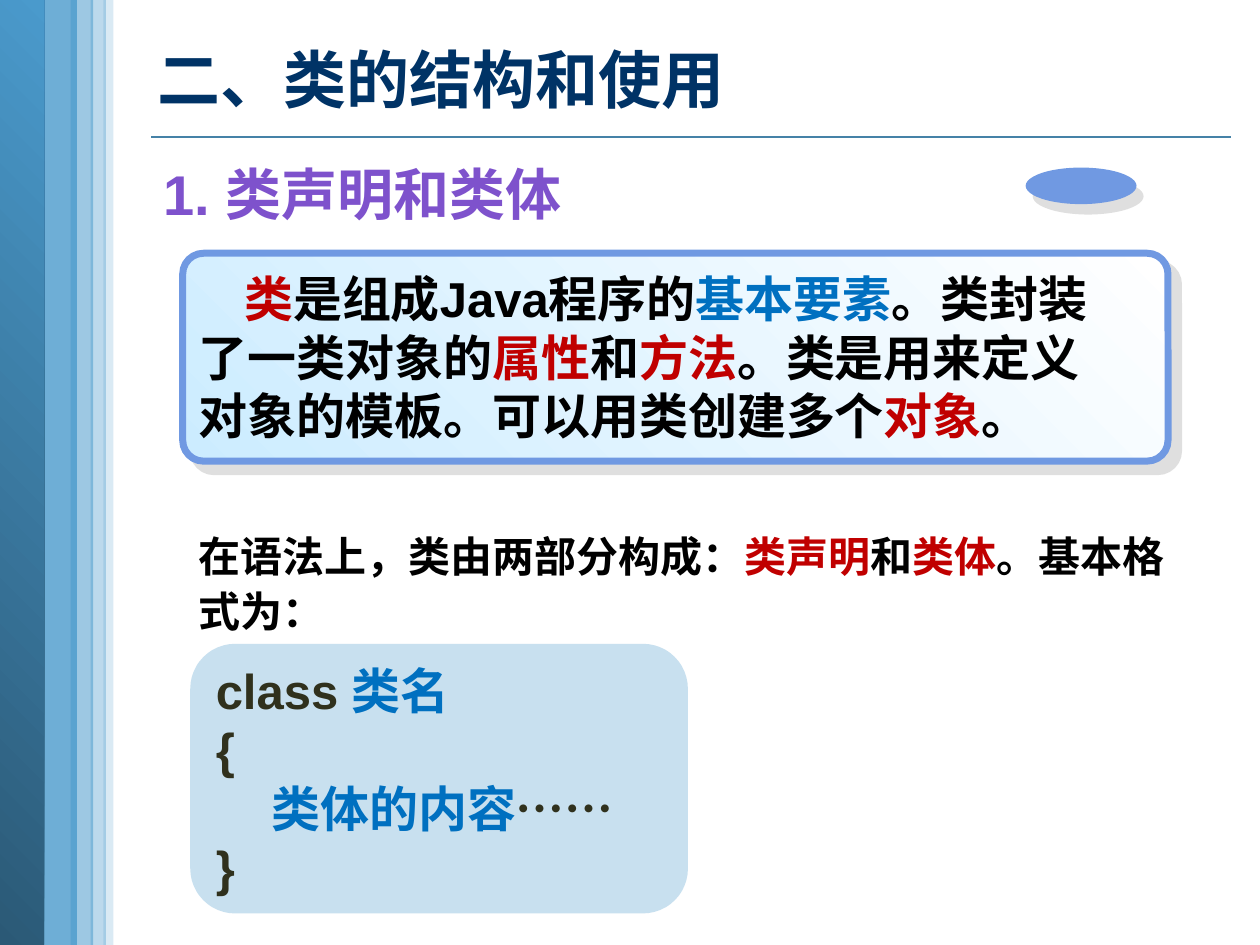
from lxml import etree
from pptx import Presentation
from pptx.dml.color import RGBColor
from pptx.enum.shapes import MSO_CONNECTOR, MSO_SHAPE
from pptx.enum.text import MSO_ANCHOR, PP_ALIGN
from pptx.oxml.ns import qn
from pptx.util import Inches, Pt

RECTANGLE = MSO_SHAPE.RECTANGLE
ROUNDED = MSO_SHAPE.ROUNDED_RECTANGLE
OVAL = MSO_SHAPE.OVAL
STRAIGHT = MSO_CONNECTOR.STRAIGHT
TOP = MSO_ANCHOR.TOP
MIDDLE = MSO_ANCHOR.MIDDLE
LEFT = PP_ALIGN.LEFT

FONT = "Arial"
BLUE = "4A9ACC"
PERIWINKLE = "7099E2"
BLACK = "000000"
RED = "C00000"
KEYWORD = "0070C0"
CODE = "30311D"


def color(value):
    return RGBColor.from_string(value)


def add_alpha(color_element, percent):
    alpha = etree.SubElement(color_element, qn("a:alpha"))
    alpha.set("val", str(percent * 1000))


def add_shape(slide, kind, box, fill=None, opacity=100, gradient=None):
    """Add a borderless shape with a solid fill or a two-colour gradient."""
    shape = slide.shapes.add_shape(kind, *map(Inches, box))
    shape.shadow.inherit = False
    shape.line.fill.background()
    if gradient:
        shape.fill.gradient()
        shape.fill.gradient_angle = 45
        for stop, value in zip(shape.fill.gradient_stops, gradient):
            stop.color.rgb = color(value)
    else:
        shape.fill.solid()
        shape.fill.fore_color.rgb = color(fill)
        if opacity < 100:
            solid = shape._element.spPr.find(qn("a:solidFill"))
            add_alpha(solid[0], opacity)
    return shape


def add_shadow(shape, distance, angle):
    effects = shape._element.spPr.find(qn("a:effectLst"))
    shadow = etree.SubElement(effects, qn("a:outerShdw"))
    shadow.set("dist", str(int(Pt(distance))))
    shadow.set("dir", str(angle * 60000))
    shadow.set("algn", "ctr")
    shadow.set("rotWithShape", "0")
    shadow_color = etree.SubElement(shadow, qn("a:srgbClr"))
    shadow_color.set("val", "C0C0C0")
    add_alpha(shadow_color, 50)


def write_text(shape, paragraphs, size, anchor=TOP, spacing=None, indent=0):
    """Each paragraph is a list of (text, colour) runs."""
    frame = shape.text_frame
    frame.word_wrap = True
    frame.vertical_anchor = anchor
    for index, runs in enumerate(paragraphs):
        paragraph = frame.paragraphs[0] if index == 0 else frame.add_paragraph()
        paragraph.alignment = LEFT
        if spacing:
            paragraph.line_spacing = spacing
        if indent:
            paragraph._p.get_or_add_pPr().set("indent", str(Inches(indent)))
        paragraph.font.name = FONT
        paragraph.font.size = Pt(size)
        paragraph.font.bold = True
        for text, value in runs:
            run = paragraph.add_run()
            run.text = text
            run.font.color.rgb = color(value)


def add_text(slide, box, runs, size, **options):
    textbox = slide.shapes.add_textbox(*map(Inches, box))
    write_text(textbox, [runs], size, **options)


def add_rule(slide, left, right, y):
    line = slide.shapes.add_connector(
        STRAIGHT, Inches(left), Inches(y), Inches(right), Inches(y))
    line.line.color.rgb = color("4582A7")
    line.line.width = Pt(1)
    etree.SubElement(line._element.spPr, qn("a:effectLst"))


def add_side_stripes(slide):
    add_shape(slide, RECTANGLE, (0.3, 0, 0.31, 7.5), BLUE, 80)
    add_shape(slide, RECTANGLE, (-0.01, 0, 0.36, 7.5), gradient=("2B5976", BLUE))
    for left, width, opacity in ((0.82, 0.08, 20), (0.56, 0.18, 54), (0.72, 0.12, 37)):
        add_shape(slide, RECTANGLE, (left, 0, width, 7.5), BLUE, opacity)


def add_definition(slide):
    panel = add_shape(slide, ROUNDED, (1.45, 2.01, 7.82, 1.65),
                      gradient=("CCECFF", "FFFFFF"))
    panel.adjustments[0] = 0.1
    panel.line.color.rgb = color(PERIWINKLE)
    panel.line.width = Pt(4)
    add_shadow(panel, 8.5, 45)

    badge = add_shape(slide, OVAL, (8.14, 1.33, 0.88, 0.29), PERIWINKLE)
    add_shadow(badge, 7.2, 56)

    add_text(slide, (1.48, 2.08, 7.51, 1.51), [
        ("类", RED), ("是组成Java程序的", BLACK), ("基本要素", KEYWORD),
        ("。类封装了一类对象的", BLACK), ("属性", RED), ("和", BLACK),
        ("方法", RED), ("。类是用来定义对象的模板。可以用类创建多个", BLACK),
        ("对象", RED), ("。", BLACK)], 28, indent=0.36)


def add_code(slide):
    panel = add_shape(slide, ROUNDED, (1.51, 5.11, 3.95, 2.14), BLUE, 30)
    write_text(panel, [
        [("class ", CODE), ("类名", KEYWORD)],
        [("{", CODE)],
        [("     类体的内容", KEYWORD), ("……", CODE)],
        [("}", CODE)]], 28, anchor=MIDDLE)


def main():
    presentation = Presentation()
    presentation.slide_width = Inches(10)
    presentation.slide_height = Inches(7.5)
    slide = presentation.slides.add_slide(presentation.slide_layouts[6])

    # Frame
    add_rule(slide, 1.2, 9.77, 1.09)
    add_side_stripes(slide)

    # Headings
    add_text(slide, (1.15, 0.07, 8.7, 1.11),
             [("二、类的结构和使用", "003366")], 36, anchor=MIDDLE)
    add_text(slide, (1.2, 1.22, 6.6, 0.62),
             [("1. 类声明和类体", "7E52CC")], 32)

    # Definition, syntax and code
    add_definition(slide)
    add_text(slide, (1.48, 4.12, 8.09, 0.99), [
        ("在语法上，类由两部分构成：", BLACK), ("类声明", RED), ("和", BLACK),
        ("类体", RED), ("。基本格式为：", BLACK)], 24, spacing=1.1)
    add_code(slide)

    presentation.save("out.pptx")


if __name__ == "__main__":
    main()
